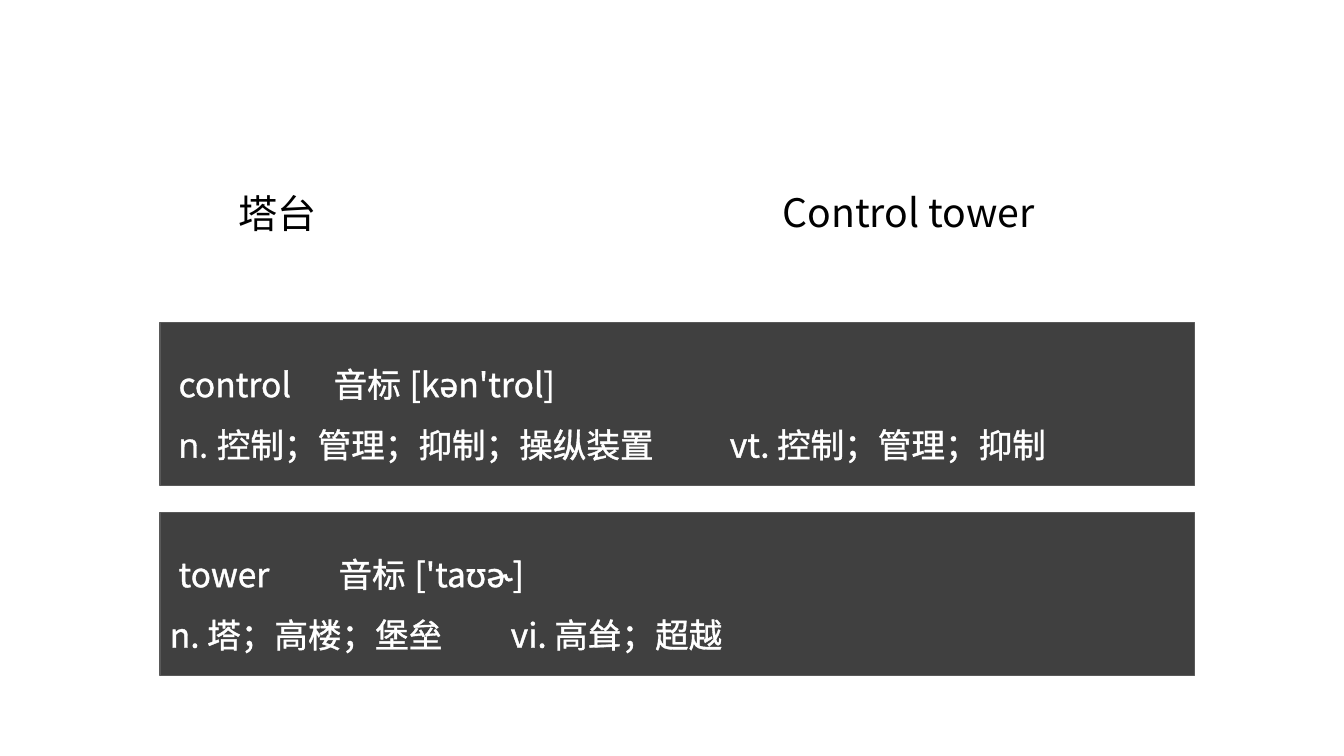
"""Build a vocabulary slide with a term pair and two word cards."""
from typing import NamedTuple

import lxml.etree
import pptx
import pptx.dml.color
import pptx.enum.shapes
import pptx.enum.text
import pptx.oxml.ns
import pptx.util

Pt = pptx.util.Pt
qn = pptx.oxml.ns.qn
SANS = "Open Sans"
NOTO = "Noto Sans CJK TC"
WHITE = "FFFFFF"


class Run(NamedTuple):
    text: str
    face: str


class Line(NamedTuple):
    runs: list[Run]
    stop: float


class Term(NamedTuple):
    left: float
    top: float
    width: float
    run: Run


TERMS = [
    Term(163.5, 131.5, 286.5, Run("塔台", SANS)),
    Term(552, 131, 230.5, Run("Control tower", NOTO)),
]
CARDS = [
    [
        Line([Run(" ", SANS), Run("control\t", NOTO), Run("音标 ", SANS),
              Run("[kən'trol]", NOTO)], 117),
        Line([Run(" n. 控制；管理；抑制；操纵装置\t", SANS), Run("vt. ", NOTO),
              Run("控制；管理；抑制", SANS)], 400),
    ],
    [
        Line([Run(" ", SANS), Run("tower\t", NOTO), Run("音标 ", SANS),
              Run("['taʊɚ]", NOTO)], 120.5),
        Line([Run("n. ", NOTO), Run("塔；高楼；堡垒\t", SANS), Run("vi. ", NOTO),
              Run("高耸；超越", SANS)], 243.5),
    ],
]


def paint(target, color: str) -> None:
    """Set a solid colour on a fill."""
    target.solid()
    target.fore_color.rgb = pptx.dml.color.RGBColor.from_string(color)


def style(para, size: float, color: str) -> None:
    """Set the size and colour of a paragraph."""
    para.font.size = Pt(size)
    paint(para.font.fill, color)


def add_run(para, item: Run):
    """Add a run in its typeface and return it."""
    run = para.add_run()
    run.text = item.text
    run.font.name = item.face
    east = lxml.etree.SubElement(run.font._element, qn("a:ea"))
    east.set("typeface", item.face)
    return run


def add_edge(run) -> None:
    """Give a run a thin white outline."""
    edge = run.font._element.makeelement(qn("a:ln"), {"w": str(Pt(0.75))})
    fill = lxml.etree.SubElement(edge, qn("a:solidFill"))
    lxml.etree.SubElement(fill, qn("a:srgbClr")).set("val", WHITE)
    run.font._element.insert(0, edge)


def add_term(slide, term: Term) -> None:
    """Add one headline term."""
    box = slide.shapes.add_textbox(Pt(term.left), Pt(term.top), Pt(term.width), Pt(41))
    frame = box.text_frame
    frame.word_wrap = True
    frame.auto_size = pptx.enum.text.MSO_AUTO_SIZE.SHAPE_TO_FIT_TEXT
    para = frame.paragraphs[0]
    style(para, 28, "000000")
    add_run(para, term.run)


def add_line(para, line: Line) -> None:
    """Fill one card paragraph with its runs and tab stop."""
    para.alignment = pptx.enum.text.PP_ALIGN.LEFT
    para.line_spacing = 1.5
    tabs = lxml.etree.SubElement(para._p.get_or_add_pPr(), qn("a:tabLst"))
    tab = lxml.etree.SubElement(tabs, qn("a:tab"))
    tab.set("pos", str(Pt(line.stop)))
    tab.set("algn", "l")
    style(para, 24, WHITE)
    for item in line.runs:
        add_edge(add_run(para, item))


def add_card(slide, top: float, lines: list[Line]) -> None:
    """Add one dark word card."""
    card = slide.shapes.add_shape(
        pptx.enum.shapes.MSO_SHAPE.RECTANGLE, Pt(114.25), Pt(top), Pt(739), Pt(116.5))
    card.shadow.inherit = False
    paint(card.fill, "404040")
    paint(card.line.fill, "595959")
    card.line.width = Pt(1)
    frame = card.text_frame
    frame.word_wrap = True
    frame.vertical_anchor = pptx.enum.text.MSO_ANCHOR.MIDDLE
    for spot, line in enumerate(lines):
        add_line(frame.add_paragraph() if spot else frame.paragraphs[0], line)


def main() -> None:
    """Build and save the deck."""
    deck = pptx.Presentation()
    deck.slide_width, deck.slide_height = Pt(960), Pt(540)
    slide = deck.slides.add_slide(deck.slide_layouts[6])
    for term in TERMS:
        add_term(slide, term)
    for spot, lines in enumerate(CARDS):
        add_card(slide, 230.25 + 135.75 * spot, lines)
    deck.save("out.pptx")


if __name__ == "__main__":
    main()
